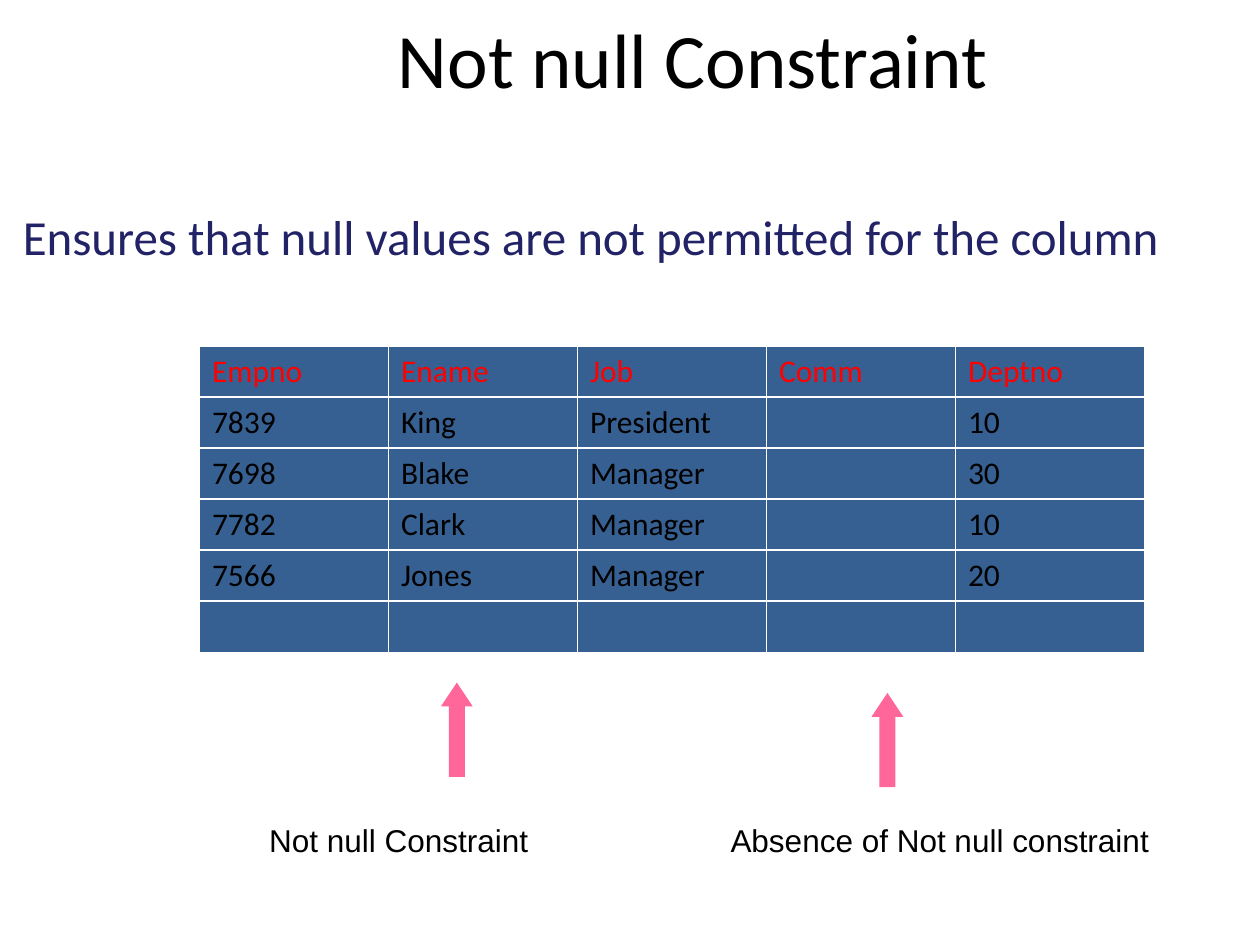
from pptx import Presentation
from pptx.dml.color import RGBColor
from pptx.enum import shapes, text
from pptx.util import Cm, Pt

BLACK = RGBColor(0x00, 0x00, 0x00)
WHITE = RGBColor(0xFF, 0xFF, 0xFF)
NAVY = RGBColor(0x22, 0x22, 0x67)
RED = RGBColor(0xFF, 0x00, 0x00)
BLUE = RGBColor(0x37, 0x60, 0x92)
PINK = RGBColor(0xFF, 0x66, 0x99)
LEFT, CENTER = text.PP_ALIGN.LEFT, text.PP_ALIGN.CENTER


def style_text(frame, font_name, size, color, align=LEFT):
    para = frame.paragraphs[0]
    para.alignment = align
    for span in para.runs:
        span.font.name = font_name
        span.font.size = Pt(size)
        span.font.bold = False
        span.font.color.rgb = color


def add_label(page, words, left, top, width, height, font_name, size, color, align):
    box = page.shapes.add_textbox(Cm(left), Cm(top), Cm(width), Cm(height))
    frame = box.text_frame
    frame.word_wrap = True
    frame.vertical_anchor = text.MSO_ANCHOR.MIDDLE
    frame.text = words
    style_text(frame, font_name, size, color, align)
    return box


deck = Presentation()
deck.slide_width, deck.slide_height = Cm(25.4), Cm(19.05)
page = deck.slides.add_slide(deck.slide_layouts[6])

title = add_label(page, "Not null Constraint", 2.54, 0, 22.86, 2.33, "Calibri", 44, BLACK, CENTER)
title.fill.solid()
title.fill.fore_color.rgb = WHITE
add_label(page, "Ensures that null values are not permitted for the column",
          0.21, 3.6, 24.98, 2.33, "Calibri", 28, NAVY, LEFT)

captions = [
    ("Not null Constraint", 2.54, 11),
    ("Absence of Not null constraint", 14.18, 9.53),
]
for words, left, width in captions:
    add_label(page, words, left, 16.3, width, 1.27, "Arial", 18, BLACK, CENTER)

for left, top in [(8.89, 13.76), (17.57, 13.97)]:
    arrow = page.shapes.add_shape(shapes.MSO_SHAPE.UP_ARROW, Cm(left), Cm(top), Cm(0.64), Cm(1.9))
    arrow.adjustments[0] = 0.5
    arrow.adjustments[1] = 0.75
    arrow.shadow.inherit = False
    arrow.fill.solid()
    arrow.fill.fore_color.rgb = PINK
    arrow.line.fill.background()

employees = [
    ["Empno", "Ename", "Job", "Comm", "Deptno"],
    ["7839", "King", "President", "", "10"],
    ["7698", "Blake", "Manager", "", "30"],
    ["7782", "Clark", "Manager", "", "10"],
    ["7566", "Jones", "Manager", "", "20"],
    [""] * 5,
]
table = page.shapes.add_table(len(employees), 5, Cm(4.02), Cm(6.97), Cm(19.05), Cm(6.18)).table
for row_index, employee in enumerate(employees):
    table.rows[row_index].height = Cm(1.03)
    for column_index, value in enumerate(employee):
        cell = table.cell(row_index, column_index)
        cell.fill.solid()
        cell.fill.fore_color.rgb = BLUE
        if value:
            cell.text_frame.text = value
            style_text(cell.text_frame, "Calibri", 18, BLACK if row_index else RED)

deck.save("out.pptx")
